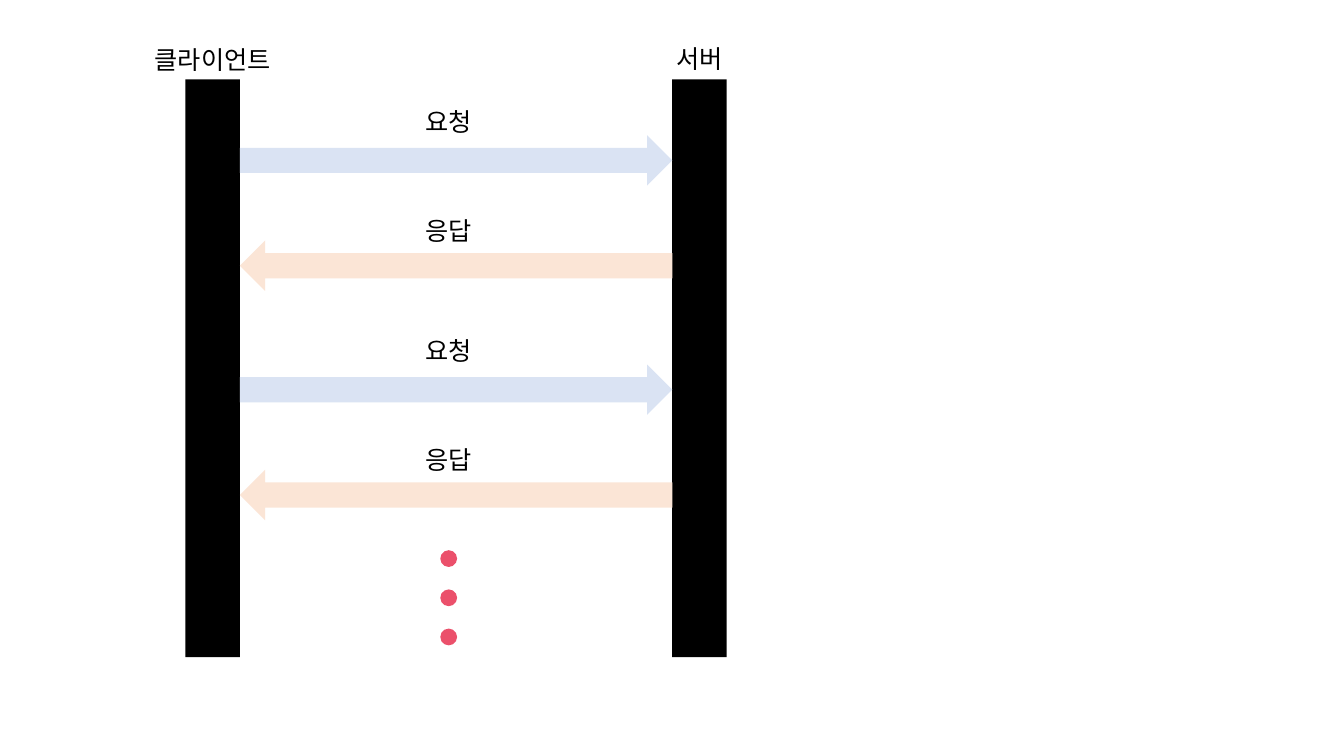
import pptx
import pptx.dml.color
import pptx.enum.shapes
import pptx.enum.text
import pptx.oxml
import pptx.oxml.ns
import pptx.util

Pt = pptx.util.Pt
SHAPES = pptx.enum.shapes.MSO_SHAPE
COLORS = {
    "bar": "000000",
    "text": "000000",
    "request": "DAE3F3",
    "response": "FBE5D6",
    "dot": "EB506B",
}


class SequenceDiagram:
    font_name = "Noto Sans CJK KR"
    font_size = 18

    def __init__(self, slide):
        self.slide = slide

    def shape(self, kind, left, top, width, height, color, shapes=None):
        target = self.slide.shapes if shapes is None else shapes
        shape = target.add_shape(kind, Pt(left), Pt(top), Pt(width), Pt(height))
        shape.shadow.inherit = False
        shape.fill.solid()
        shape.fill.fore_color.rgb = pptx.dml.color.RGBColor.from_string(COLORS[color])
        shape.line.fill.background()

    def label(self, text, center, top, width):
        box = self.slide.shapes.add_textbox(Pt(center - width / 2), Pt(top), Pt(width), Pt(29))
        frame = box.text_frame
        frame.word_wrap = True
        frame.auto_size = pptx.enum.text.MSO_AUTO_SIZE.SHAPE_TO_FIT_TEXT
        paragraph = frame.paragraphs[0]
        paragraph.text = text
        paragraph.alignment = pptx.enum.text.PP_ALIGN.CENTER
        paragraph.font.size = Pt(self.font_size)
        paragraph.font.name = self.font_name
        paragraph.font.color.rgb = pptx.dml.color.RGBColor.from_string(COLORS["text"])
        properties = paragraph._p.get_or_add_pPr().get_or_add_defRPr()
        east_asian = pptx.oxml.parse_xml(f'<a:ea {pptx.oxml.ns.nsdecls("a")}/>')
        east_asian.set("typeface", self.font_name)
        properties.append(east_asian)

    def lifeline(self, text, left, label_top, label_width):
        self.shape(SHAPES.RECTANGLE, left, 56.8, 38.9, 412.6, "bar")
        self.label(text, left + 19.45, label_top, label_width)

    def message(self, text, kind, arrow_top, label_top, color):
        self.shape(kind, 171.4, arrow_top, 308.8, 36, color)
        self.label(text, 320.5, label_top, 86)

    def dots(self, left, top, size, step, count):
        group = self.slide.shapes.add_group_shape()
        for index in range(count):
            self.shape(SHAPES.OVAL, left, top + index * step, size, size, "dot", group.shapes)


def main():
    presentation = pptx.Presentation()
    presentation.slide_width = Pt(960)
    presentation.slide_height = Pt(540)
    slide = presentation.slides.add_slide(presentation.slide_layouts[6])
    diagram = SequenceDiagram(slide)

    diagram.lifeline("클라이언트", 132.5, 28, 109)
    diagram.lifeline("서버", 480.2, 27.4, 86)
    for offset in (0, 163.8):
        diagram.message("요청", SHAPES.RIGHT_ARROW, 96.6 + offset, 72.5 + offset, "request")
        diagram.message("응답", SHAPES.LEFT_ARROW, 171.8 + offset, 150 + offset, "response")
    diagram.dots(314.5, 393, 12, 28, 3)

    presentation.save("out.pptx")


if __name__ == "__main__":
    main()
